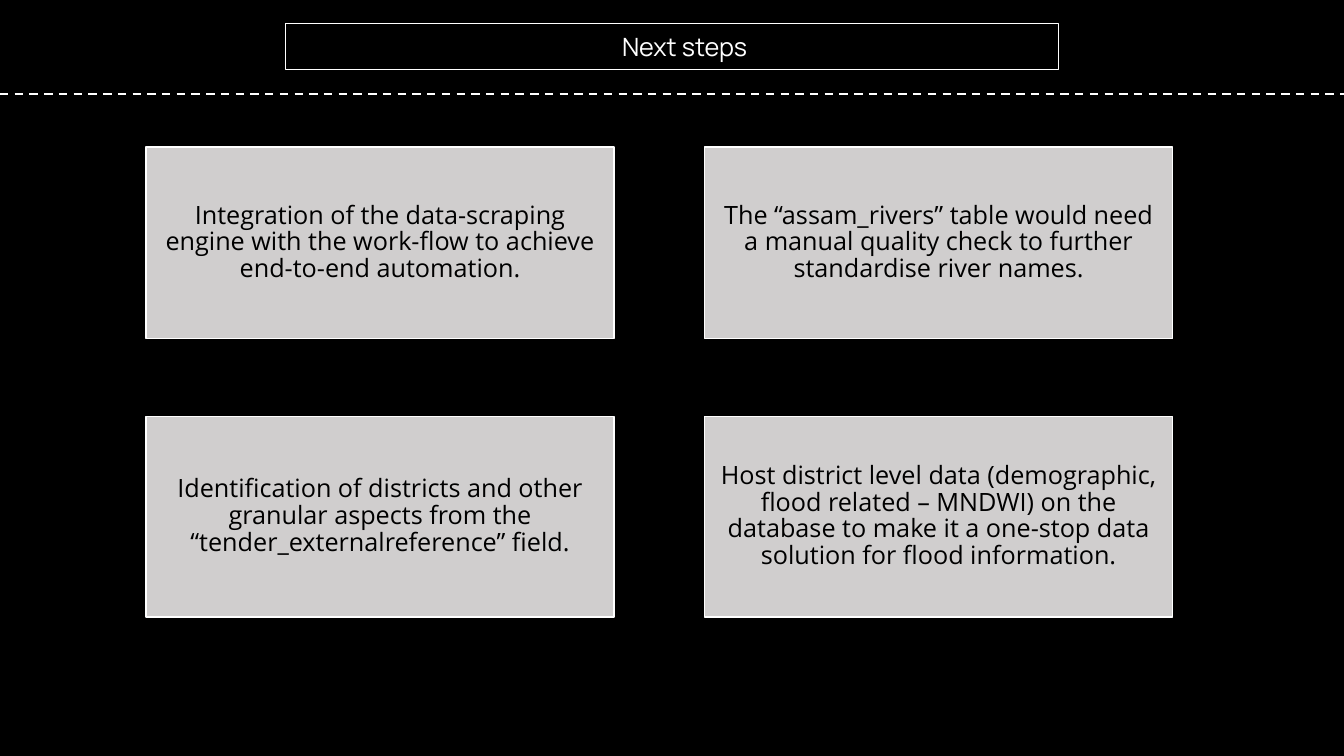
from dataclasses import dataclass

from lxml.etree import SubElement
from pptx import Presentation
from pptx.dml.color import RGBColor as RGB
from pptx.enum.dml import MSO_LINE
from pptx.enum.shapes import MSO_CONNECTOR as CONN, MSO_SHAPE as SHAPE
from pptx.enum.text import MSO_ANCHOR as ANCHOR, MSO_AUTO_SIZE as AUTO, PP_ALIGN as ALIGN
from pptx.oxml import parse_xml
from pptx.oxml.ns import nsdecls, qn
from pptx.util import Inches, Pt


@dataclass(frozen=True)
class Theme:
    """Colours, fonts and type size of the slide."""
    black: RGB = RGB(0x00, 0x00, 0x00)
    white: RGB = RGB(0xFF, 0xFF, 0xFF)
    card: RGB = RGB(0xD0, 0xCE, 0xCE)
    heading: str = "Manrope"
    body: str = "Open Sans"
    size: float = 18


THEME = Theme()
STEPS = [
    "Integration of the data-scraping engine with the work-flow to achieve end-to-end automation.",
    "The “assam_rivers” table would need a manual quality check to further standardise river names.",
    "Identification of districts and other granular aspects from the “tender_externalreference” field.",
    "Host district level data (demographic, flood related – MNDWI) on the database "
    "to make it a one-stop data solution for flood information.",
]


def place(sp, left, top, width, height):
    """Move a shape to a box given in inches."""
    sp.left, sp.top, sp.width, sp.height = map(Inches, (left, top, width, height))


def paint(sp, fill, line, weight):
    """Give a shape a solid fill and an outline."""
    sp.fill.solid()
    sp.fill.fore_color.rgb = fill
    sp.line.color.rgb = line
    sp.line.width = Pt(weight)


def write(sp, text, font, color, spacing=1.0, inset=(0.1, 0.05)):
    """Write one centred paragraph into a shape and return it."""
    tf = sp.text_frame
    tf.word_wrap = True
    tf.auto_size = AUTO.NONE
    tf.vertical_anchor = ANCHOR.MIDDLE
    tf.margin_left = tf.margin_right = Inches(inset[0])
    tf.margin_top = tf.margin_bottom = Inches(inset[1])
    p = tf.paragraphs[0]
    p.alignment = ALIGN.CENTER
    p.line_spacing = spacing
    r = p.add_run()
    r.text = text
    r.font.name = font
    r.font.size = Pt(THEME.size)
    r.font.color.rgb = color
    return p


def add_heading(slide, text, left, top, width, height):
    """Turn the title placeholder into a box with one rounded corner."""
    sp = slide.shapes.title
    place(sp, left, top, width, height)
    geom = parse_xml(
        f'<a:prstGeom {nsdecls("a")} prst="round1Rect"><a:avLst>'
        '<a:gd name="adj" fmla="val 29500"/></a:avLst></a:prstGeom>')
    sp.element.spPr.find(qn("a:xfrm")).addnext(geom)
    paint(sp, THEME.black, THEME.white, 0.75)
    p = write(sp, text, THEME.heading, THEME.white, inset=(0.07, 0.04))
    pPr = p._p.get_or_add_pPr()
    pPr.set("marL", str(Inches(0.5)))
    pPr.set("indent", str(Inches(-0.25)))


def add_divider(slide, left, top, width):
    """Draw the dashed rule under the heading."""
    ln = slide.shapes.add_connector(
        CONN.STRAIGHT, Inches(left), Inches(top), Inches(left + width), Inches(top))
    ln.line.color.rgb = THEME.white
    ln.line.width = Pt(1.5)
    ln.line.dash_style = MSO_LINE.DASH
    SubElement(ln.element.spPr, qn("a:effectLst"))


def add_step_row(slide, steps, left, top, width, height, gap=0.9):
    """Fill a row with equal cards, one for each step."""
    card_width = (width - gap * (len(steps) - 1)) / len(steps)
    for i, text in enumerate(steps):
        sp = slide.shapes.add_shape(SHAPE.RECTANGLE, 0, 0, 0, 0)
        place(sp, left + i * (card_width + gap), top, card_width, height)
        sp.shadow.inherit = False
        paint(sp, THEME.card, THEME.white, 1)
        write(sp, text, THEME.body, THEME.black, spacing=0.88)


def main():
    """Build the slide and save it."""
    prs = Presentation()
    prs.slide_width, prs.slide_height = Inches(13.33), Inches(7.5)
    slide = prs.slides.add_slide(prs.slide_layouts[5])
    slide.background.fill.solid()
    slide.background.fill.fore_color.rgb = THEME.black
    add_heading(slide, "Next steps", 2.83, 0.23, 7.67, 0.46)
    add_divider(slide, 0, 0.93, 13.33)
    add_step_row(slide, STEPS[:2], 1.45, 1.46, 10.18, 1.9)
    add_step_row(slide, STEPS[2:], 1.45, 4.13, 10.18, 1.99)
    prs.save("out.pptx")


if __name__ == "__main__":
    main()
